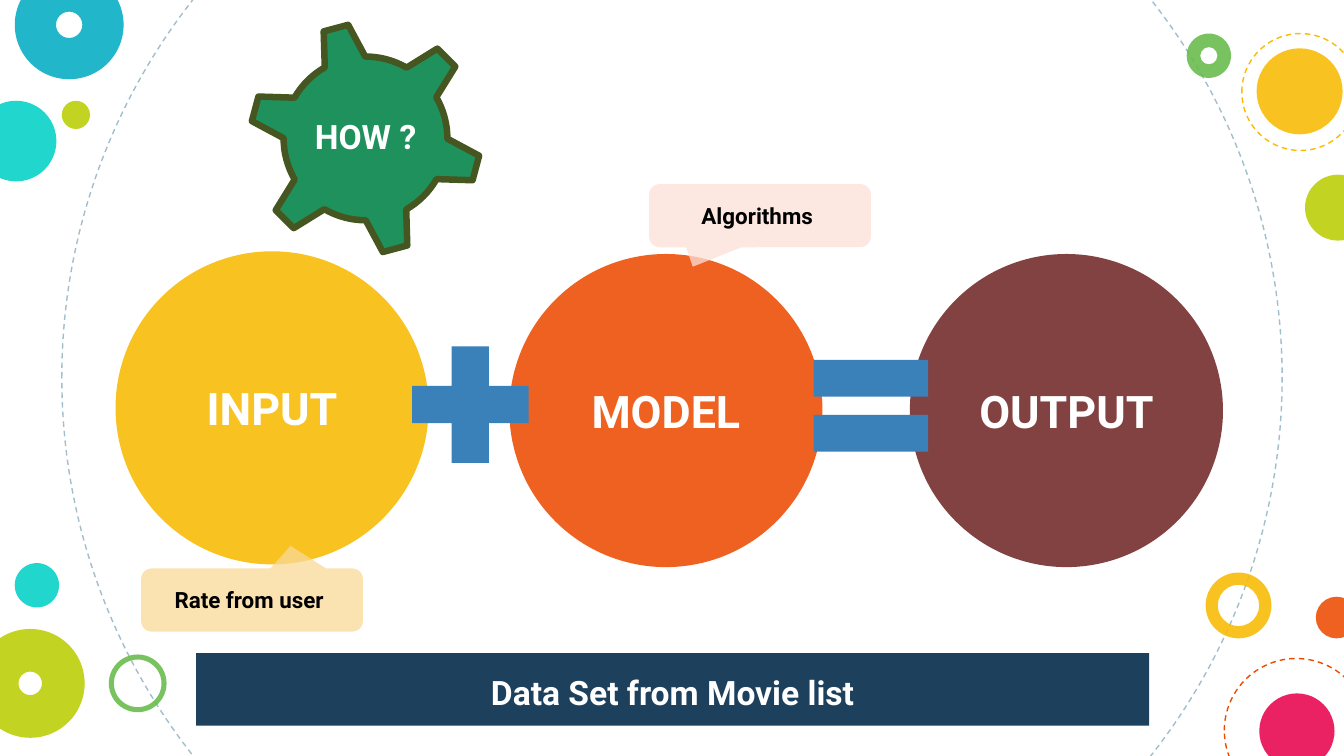
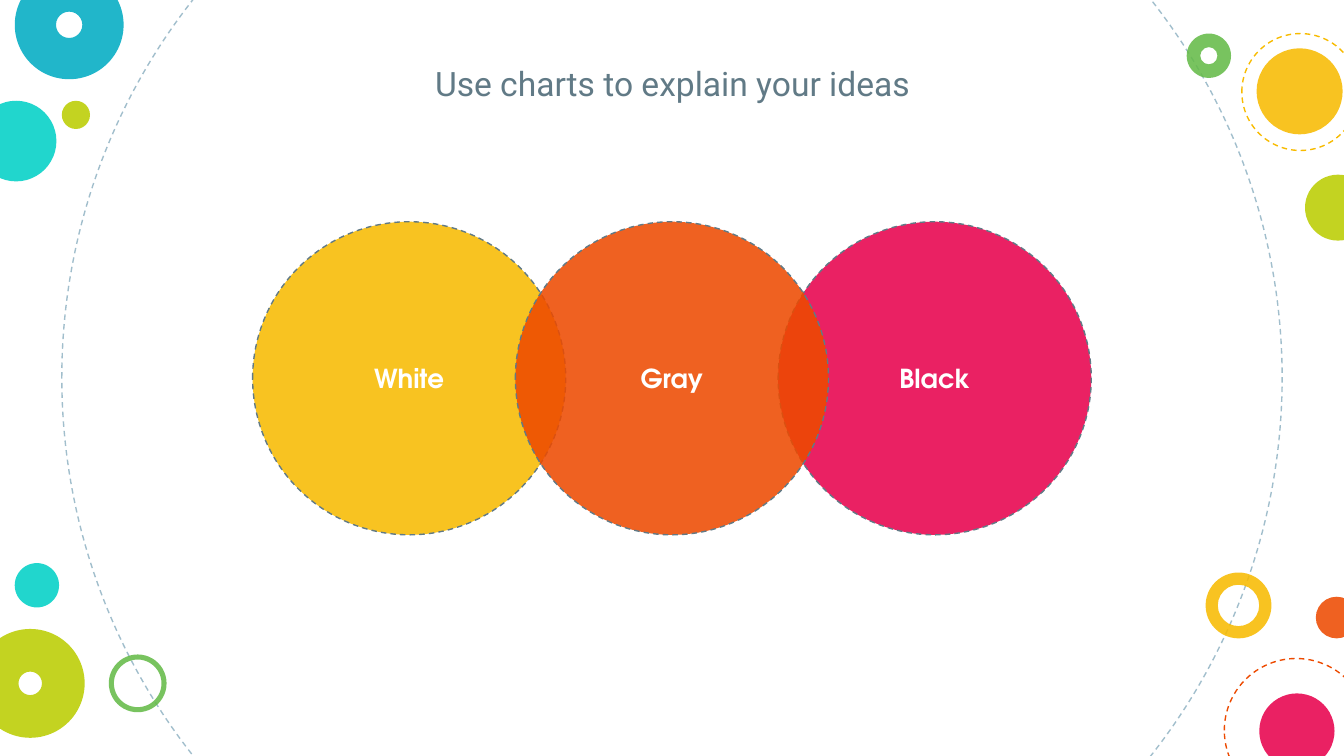
"""Build two circle-themed slides on a grid of square cells, 100 across."""
from dataclasses import dataclass, field

from lxml import etree
from pptx import Presentation
from pptx.dml.color import RGBColor
from pptx.enum.dml import MSO_LINE
from pptx.enum.shapes import MSO_SHAPE
from pptx.enum.text import MSO_ANCHOR, PP_ALIGN
from pptx.oxml.ns import qn
from pptx.shapes.autoshape import Shape
from pptx.shapes.shapetree import GroupShapes, SlideShapes
from pptx.util import Inches, Pt

DISC = MSO_SHAPE.OVAL
RING = MSO_SHAPE.DONUT
BAR = MSO_SHAPE.RECTANGLE
PLUS = MSO_SHAPE.MATH_PLUS
EQUAL = MSO_SHAPE.MATH_EQUAL
GEAR = MSO_SHAPE.GEAR_6
BUBBLE = MSO_SHAPE.ROUNDED_RECTANGULAR_CALLOUT
DASH = MSO_LINE.DASH
MIDDLE, BOTTOM = MSO_ANCHOR.MIDDLE, MSO_ANCHOR.BOTTOM
CENTER = PP_ALIGN.CENTER

WIDTH, HEIGHT = Inches(10), Inches(5.625)
CELL = WIDTH // 100
SHEER = 87
ROUND = 23.3
SANS, GEO = "Roboto", "TeX Gyre Adventor"

COLORS = {
    "white": "FFFFFF", "black": "000000", "mist": "A1BECC", "slate": "617A86",
    "aqua": "00D1C6", "teal": "00ACC3", "lime": "BBCD00", "leaf": "65BB48",
    "gold": "F8BB00", "flame": "ED4A00", "pink": "E8004C", "wine": "712627",
    "navy": "1D405D", "blue": "3A81BA", "green": "1F915D", "moss": "465621",
    "cream": "FAD998", "blush": "FCE1D8",
}


@dataclass(frozen=True)
class Item:
    """A shape placed in grid cells; no kind means a plain text box."""
    kind: MSO_SHAPE | None
    left: float
    top: float
    wide: float
    high: float | None = None
    fill: str | None = None
    alpha: int = 100
    edge: str | None = None
    weight: float = 0.75
    dash: MSO_LINE | None = DASH
    adj: tuple[float, ...] = ()
    turn: float = 0
    text: str = ""
    form: dict = field(default_factory=dict)


def dot(left: float, top: float, size: float, fill: str, hole: float = 0) -> Item:
    """Describe a sheer disc, or a ring when it has a hole."""
    return Item(RING if hole else DISC, left, top, size, fill=fill, alpha=SHEER,
                adj=(hole,) if hole else ())


def orbit(left: float, top: float, size: float, edge: str) -> Item:
    """Describe a dashed circle without fill."""
    return Item(DISC, left, top, size, edge=edge)


def ball(left: float, top: float, fill: str, text: str,
         edge: str | None = None, **form) -> Item:
    """Describe a large sheer disc with a label."""
    return Item(DISC, left, top, ROUND, fill=fill, alpha=SHEER, edge=edge,
                text=text, form=form)


def bubble(left: float, top: float, fill: str, text: str,
           tip: tuple[float, float]) -> Item:
    """Describe a callout whose tip is a share of its size."""
    return Item(BUBBLE, left, top, 16.5, 4.7, fill=fill, alpha=75,
                adj=(*tip, 0.167), text=text,
                form={"size": 12, "color": "black", "pad": (1, 0.5)})


DECOR = (
    orbit(4.6, -17.3, 90.8, "mist"),
    dot(-1.8, 7.5, 6, "aqua"),
    dot(89.7, 42.6, 4.9, "gold", 0.186),
    dot(1.1, -2.2, 8.1, "teal", 0.379),
    dot(4.6, 7.5, 2.1, "lime"),
    orbit(91.1, 49, 10.7, "flame"),
    dot(8.1, 48.7, 4.3, "leaf", 0.088),
    dot(97.9, 44.4, 3.1, "flame"),
    dot(-1.8, 46.8, 8.1, "lime", 0.392),
    dot(93.7, 51.6, 5.6, "pink"),
    dot(88.3, 2.5, 3.3, "leaf", 0.306),
    dot(93.5, 3.6, 6.4, "gold"),
    dot(97.1, 13, 4.9, "lime"),
    orbit(92.4, 2.5, 8.7, "gold"),
    dot(1.1, 41.9, 3.3, "aqua"),
)

FLOW = (
    ball(8.6, 18.7, "gold", "INPUT", size=24),
    ball(67.7, 18.9, "wine", "OUTPUT", size=24),
    Item(BAR, 14.6, 48.6, 70.9, 5.4, fill="navy",
         text="Data Set from Movie list", form={"anchor": BOTTOM}),
    ball(37.9, 18.9, "flame", "MODEL", size=24),
    Item(PLUS, 29.1, 24.2, 11.8, fill="blue"),
    Item(EQUAL, 59, 24.4, 11.6, fill="blue"),
)
COG = (
    Item(GEAR, 18.5, 1.6, 17.4, fill="green", edge="moss", weight=3.5,
         dash=None, turn=345),
    Item(None, 22.3, 5.4, 9.8, text="HOW ?",
         form={"pad": (0.4, 0.4), "space": 0.9}),
)
NOTES = (
    bubble(10.5, 42.3, "cream", "Rate from user ", (0.174, -0.859)),
    bubble(48.3, 13.7, "blush", "Algorithms ", (-0.303, 0.808)),
)

VENN = ((0, "gold", "White"), (2, "pink", "Black"), (1, "flame", "Gray"))
STEP = 19.55
START = (100 - 2 * STEP - ROUND) / 2
IDEAS = (
    *(ball(START + STEP * spot, 16.5, fill, text, "slate", size=14, font=GEO)
      for spot, fill, text in VENN),
    Item(None, 21.2, 1.7, 57.7, 7, text="Use charts to explain your ideas",
         form={"color": "slate", "bold": False, "anchor": BOTTOM}),
)


def paint(name: str) -> RGBColor:
    """Look up a named colour."""
    return RGBColor.from_string(COLORS[name])


def write(shape: Shape, text: str, *, size: float = 18, font: str = SANS,
          color: str = "white", bold: bool = True, anchor: MSO_ANCHOR = MIDDLE,
          pad: tuple[float, float] = (1, 1), space: float | None = None) -> None:
    """Put one centred line of text in a shape."""
    frame = shape.text_frame
    frame.word_wrap = True
    frame.vertical_anchor = anchor
    frame.margin_left = frame.margin_right = round(pad[0] * CELL)
    frame.margin_top = frame.margin_bottom = round(pad[1] * CELL)
    para = frame.paragraphs[0]
    para.alignment = CENTER
    if space:
        para.line_spacing = space
    run = para.add_run()
    run.text = text
    run.font.size = Pt(size)
    run.font.name = font
    run.font.bold = bold
    run.font.color.rgb = paint(color)


def style(shape: Shape, item: Item) -> None:
    """Set the fill, line, tuning and turn of a preset shape."""
    shape.shadow.inherit = False
    shape.rotation = item.turn
    for slot, value in enumerate(item.adj):
        shape.adjustments[slot] = value
    if item.fill:
        shape.fill.solid()
        shape.fill.fore_color.rgb = paint(item.fill)
        if item.alpha < 100:
            tint = shape.element.spPr.find(qn("a:solidFill"))[0]
            etree.SubElement(tint, qn("a:alpha"), val=str(item.alpha * 1000))
    else:
        shape.fill.background()
    if item.edge:
        shape.line.color.rgb = paint(item.edge)
        shape.line.width = Pt(item.weight)
        shape.line.dash_style = item.dash
    else:
        shape.line.fill.background()


def draw(shapes: SlideShapes | GroupShapes, items: tuple[Item, ...]) -> None:
    """Draw items from back to front."""
    for item in items:
        high = item.wide if item.high is None else item.high
        box = [round(n * CELL) for n in (item.left, item.top, item.wide, high)]
        if item.kind is None:
            shape = shapes.add_textbox(*box)
        else:
            shape = shapes.add_shape(item.kind, *box)
            style(shape, item)
        if item.text:
            write(shape, item.text, **item.form)


def begin(deck: Presentation) -> SlideShapes:
    """Add a blank slide with the shared circles."""
    slide = deck.slides.add_slide(deck.slide_layouts[6])
    slide.background.fill.solid()
    slide.background.fill.fore_color.rgb = paint("white")
    draw(slide.shapes, DECOR)
    return slide.shapes


def main() -> None:
    """Build and save the deck."""
    deck = Presentation()
    deck.slide_width, deck.slide_height = WIDTH, HEIGHT
    flow = begin(deck)
    draw(flow, FLOW)
    draw(flow.add_group_shape().shapes, COG)
    draw(flow, NOTES)
    draw(begin(deck), IDEAS)
    deck.save("out.pptx")


if __name__ == "__main__":
    main()
